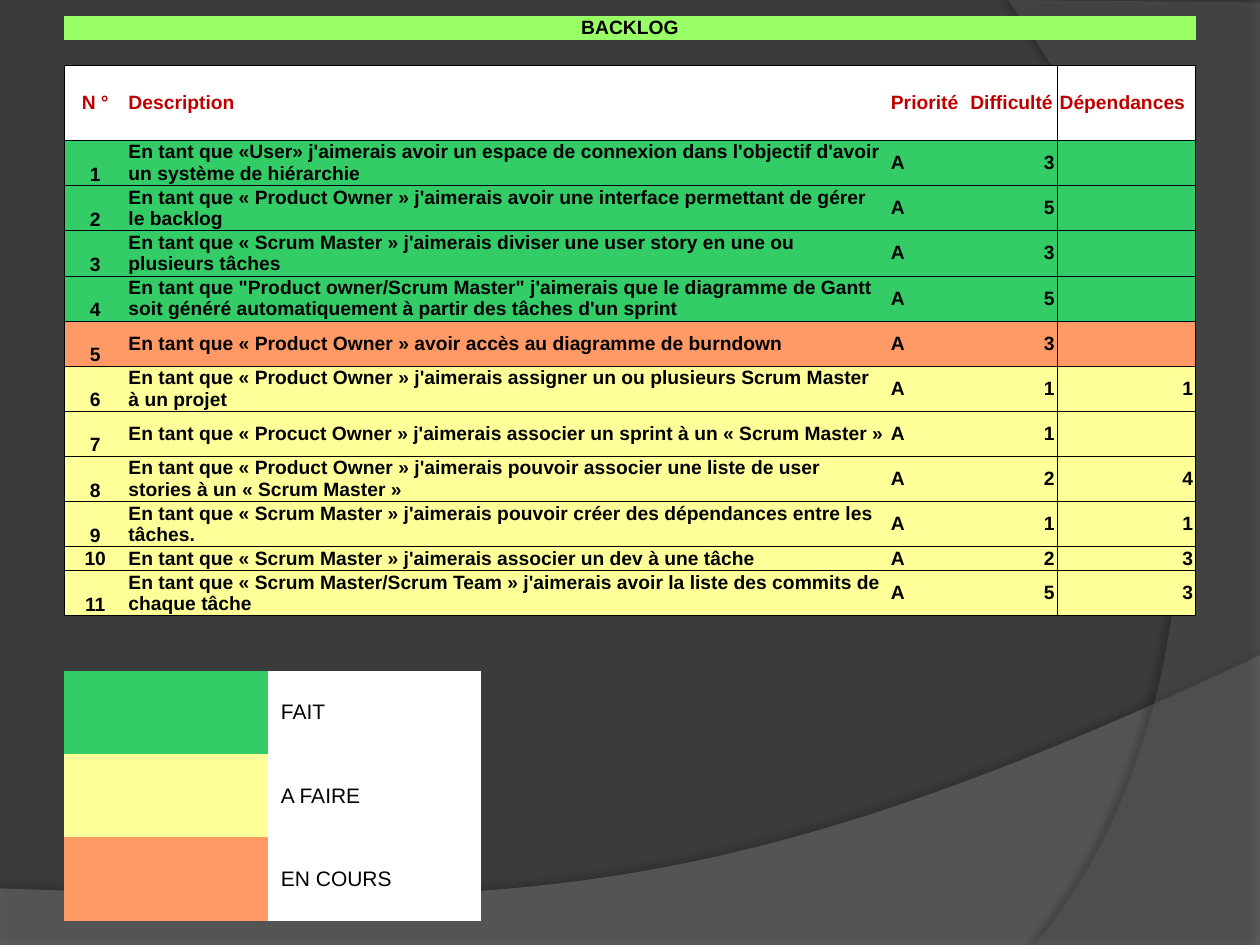
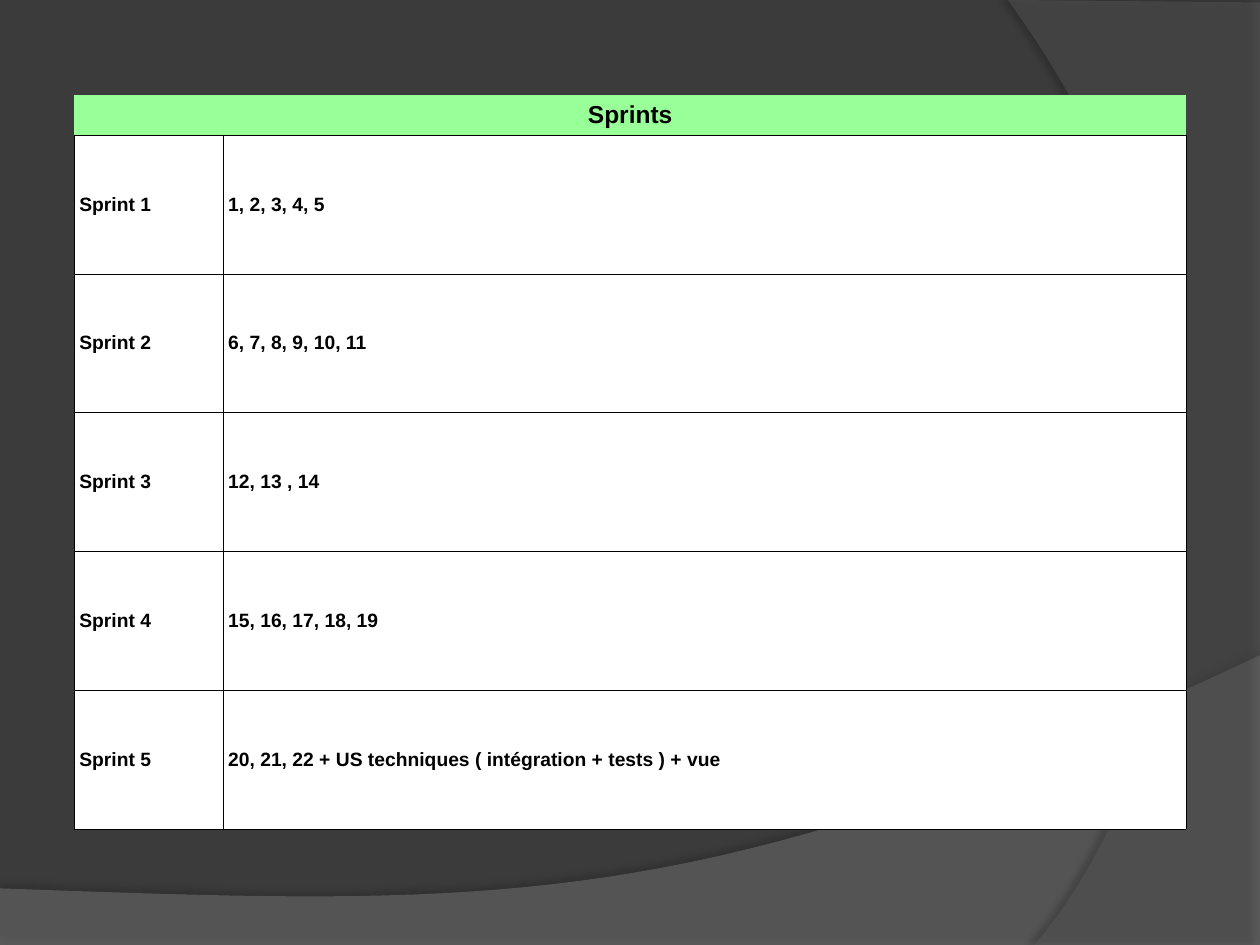
"""Build the backlog and sprint planning slides."""
from lxml.etree import SubElement
from pptx import Presentation
from pptx.dml.color import RGBColor
from pptx.enum.text import MSO_ANCHOR, PP_ALIGN
from pptx.oxml.ns import qn
from pptx.util import Cm, Pt

FONT = "Arial"
BLACK, WHITE, RED = "000000", "FFFFFF", "C00000"
DONE, TODO, ONGOING = "33CC66", "FFFF99", "FF9966"
BACKLOG_BAND, SPRINT_BAND = "99FF66", "99FF99"
BACKGROUND = "3B3B3B"
PLAIN_TABLE = "{2D5ABB26-0587-4C30-8999-92F81FD0307C}"
LEFT, CENTER, RIGHT = PP_ALIGN.LEFT, PP_ALIGN.CENTER, PP_ALIGN.RIGHT
MIDDLE, BOTTOM = MSO_ANCHOR.MIDDLE, MSO_ANCHOR.BOTTOM


def paint(fill, color):
    fill.solid()
    fill.fore_color.rgb = RGBColor.from_string(color)


def write_cell(cell, text, fill, size=11, color=BLACK, bold=True, align=LEFT,
               anchor=MIDDLE, sides="", margins=None):
    for side in sides:
        line = SubElement(cell._tc.get_or_add_tcPr(), qn(f"a:ln{side}"), w="4763")
        line_fill = SubElement(line, qn("a:solidFill"))
        SubElement(line_fill, qn("a:srgbClr"), val=BLACK)
    if fill:
        paint(cell.fill, fill)
    if margins:
        cell.margin_left = cell.margin_right = Cm(margins[0])
        cell.margin_top = cell.margin_bottom = Cm(margins[1])
    cell.vertical_anchor = anchor
    paragraph = cell.text_frame.paragraphs[0]
    paragraph.text = text
    paragraph.alignment = align
    for span in paragraph.runs:
        span.font.name = FONT
        span.font.size = Pt(size)
        span.font.bold = bold
        paint(span.font.fill, color)
    if not text:
        SubElement(paragraph._p, qn("a:endParaRPr"), sz=str(size * 100))


deck = Presentation()
deck.slide_width, deck.slide_height = Cm(25.4), Cm(19.05)
layout = deck.slide_layouts[6]
paint(layout.background.fill, BACKGROUND)
backlog_page = deck.slides.add_slide(layout)
sprint_page = deck.slides.add_slide(layout)

# fmt: off
swooshes = [
    ([(0, 17.91), (0, 19.05), (25.4, 19.05), (25.4, 13.21)],
     [(14.2, 18.52), (9.93, 18.26), (0, 17.91)], "7F7F7F", 45, 35, 3.5, 270),
    ([(20.32, 0), (25.4, 0.05), (25.4, 19.05), (20.85, 19.05)],
     [(23.75, 15.72), (25.86, 7.62), (20.32, 0)], "5E5E5E", 40, 45, 4, 180),
]
# fmt: on
for corners, controls, color, opacity, shadow_opacity, distance, angle in swooshes:
    curve = []
    for step in range(1, 41):
        t = step / 40
        weights = [(1 - t) ** 3, 3 * t * (1 - t) ** 2, 3 * t**2 * (1 - t), t**3]
        anchors = [corners[-1], *controls]
        curve.append([sum(w * point[axis] for w, point in zip(weights, anchors))
                      for axis in (0, 1)])
    start, *outline = [(Cm(x), Cm(y)) for x, y in [*corners, *curve]]
    builder = backlog_page.shapes.build_freeform(*start)
    builder.add_line_segments(outline, close=True)
    swoosh = builder.convert_to_shape()
    paint(swoosh.fill, color)
    swoosh.line.fill.background()
    swoosh.shadow.inherit = False
    properties = swoosh._element.spPr
    fill_color = properties.find(qn("a:solidFill")).find(qn("a:srgbClr"))
    SubElement(fill_color, qn("a:alpha"), val=str(opacity * 1000))
    shadow = SubElement(properties.find(qn("a:effectLst")), qn("a:outerShdw"),
                        blurRad=str(Pt(4)), dist=str(Pt(distance)),
                        dir=str(angle * 60000), algn="ctr", rotWithShape="0")
    shadow_color = SubElement(shadow, qn("a:srgbClr"), val=BLACK)
    SubElement(shadow_color, qn("a:alpha"), val=str(shadow_opacity * 1000))
    layout.shapes.element.append(swoosh._element)

stories = [
    ("En tant que «User» j'aimerais avoir un espace de connexion dans l'objectif d'avoir un système de hiérarchie", "3", "", DONE),
    ("En tant que « Product Owner » j'aimerais avoir une interface permettant de gérer le backlog", "5", "", DONE),
    ("En tant que « Scrum Master » j'aimerais diviser une user story en une ou plusieurs tâches", "3", "", DONE),
    ("En tant que \"Product owner/Scrum Master\" j'aimerais que le diagramme de Gantt soit généré automatiquement à partir des tâches d'un sprint", "5", "", DONE),
    ("En tant que « Product Owner » avoir accès au diagramme de burndown", "3", "", ONGOING),
    ("En tant que « Product Owner » j'aimerais assigner un ou plusieurs Scrum Master à un projet", "1", "1", TODO),
    ("En tant que « Procuct Owner » j'aimerais associer un sprint à un « Scrum Master »", "1", "", TODO),
    ("En tant que « Product Owner » j'aimerais pouvoir associer une liste de user stories à un « Scrum Master »", "2", "4", TODO),
    ("En tant que « Scrum Master » j'aimerais pouvoir créer des dépendances entre les tâches.", "1", "1", TODO),
    ("En tant que « Scrum Master » j'aimerais associer un dev à une tâche", "2", "3", TODO),
    ("En tant que « Scrum Master/Scrum Team » j'aimerais avoir la liste des commits de chaque tâche", "5", "3", TODO),
]
headings = ["N °", "Description", "Priorité", "Difficulté", "Dépendances"]
legend = [(DONE, "FAIT"), (TODO, "A FAIRE"), (ONGOING, "EN COURS")]
sprints = ["1, 2, 3, 4, 5", "6, 7, 8, 9, 10, 11", "12, 13 , 14", "15, 16, 17, 18, 19",
           "20, 21, 22 + US techniques ( intégration + tests ) + vue"]

story_heights = [0.91] * len(stories)
story_heights[9] = 0.48
table_plans = [
    (backlog_page, 1.3, 0.33, [1.24, 15.37, 1.6, 1.8, 2.79], [0.48, 0.48, 1.52, *story_heights]),
    (backlog_page, 1.3, 13.52, [4.11, 4.29], [1.68] * len(legend)),
    (sprint_page, 1.5, 1.92, [3, 19.41], [0.8] + [2.8] * len(sprints)),
]
tables = []
for page, left, top, widths, heights in table_plans:
    frame = page.shapes.add_table(len(heights), len(widths), Cm(left), Cm(top),
                                  Cm(sum(widths)), Cm(sum(heights)))
    table = frame.table
    table.first_row = table.horz_banding = False
    table._tbl.tblPr.find(qn("a:tableStyleId")).text = PLAIN_TABLE
    for column, width in zip(table.columns, widths):
        column.width = Cm(width)
    for row, height in zip(table.rows, heights):
        row.height = Cm(height)
    tables.append(table)
backlog_table, legend_table, sprint_table = tables

tight = (0.05, 0.01)
column_sides = ["LTB", "TB", "TB", "RTB", "LRTB"]
column_aligns = [CENTER, LEFT, LEFT, RIGHT, RIGHT]
backlog_table.cell(0, 0).merge(backlog_table.cell(0, 4))
write_cell(backlog_table.cell(0, 0), "BACKLOG", BACKLOG_BAND, align=CENTER, margins=tight)
for index, heading in enumerate(headings):
    if index:
        write_cell(backlog_table.cell(0, index), "", None, margins=tight)
    write_cell(backlog_table.cell(1, index), "", None, sides="B", margins=tight)
    write_cell(backlog_table.cell(2, index), heading, WHITE, color=RED,
               align=LEFT if index else CENTER, sides=column_sides[index], margins=tight)
for number, (story, difficulty, dependency, status) in enumerate(stories, 1):
    values = [str(number), story, "A", difficulty, dependency]
    for index, value in enumerate(values):
        write_cell(backlog_table.cell(number + 2, index), value, status,
                   align=column_aligns[index], anchor=MIDDLE if index else BOTTOM,
                   sides=column_sides[index], margins=tight)

for index, (status, label) in enumerate(legend):
    write_cell(legend_table.cell(index, 0), "", status, size=12)
    write_cell(legend_table.cell(index, 1), label, WHITE, size=12, bold=False)

roomy = (0.1, 0.05)
sprint_table.cell(0, 0).merge(sprint_table.cell(0, 1))
write_cell(sprint_table.cell(0, 0), "Sprints", SPRINT_BAND, size=14, align=CENTER,
           sides="B", margins=roomy)
for number, content in enumerate(sprints, 1):
    for index, value in enumerate([f"Sprint {number}", content]):
        write_cell(sprint_table.cell(number, index), value, WHITE, sides="LRTB", margins=roomy)

deck.save("out.pptx")
